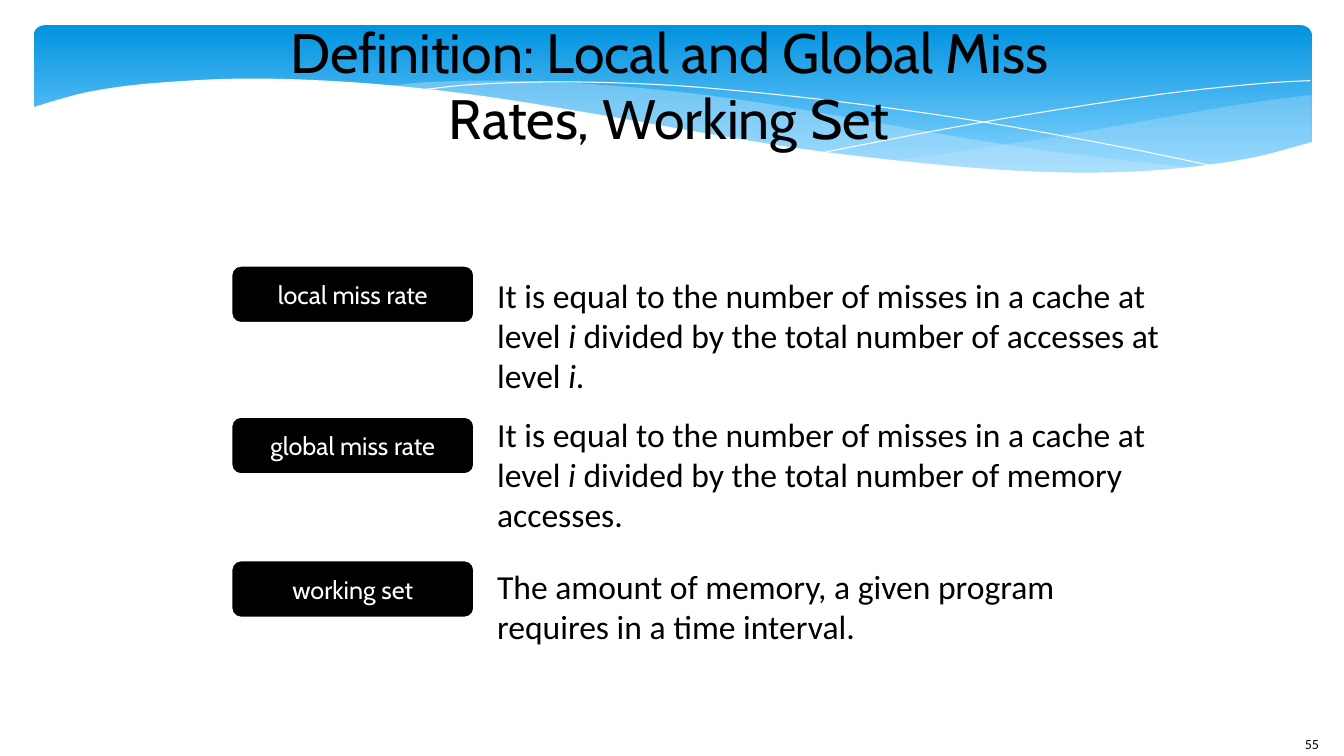
from lxml.etree import SubElement
from pptx import Presentation
from pptx.dml.color import RGBColor
from pptx.enum.shapes import MSO_SHAPE
from pptx.enum.text import MSO_ANCHOR, MSO_AUTO_SIZE, PP_ALIGN
from pptx.oxml.ns import qn
from pptx.util import Pt

THEME = {
    "black": RGBColor.from_string("000000"),
    "white": RGBColor.from_string("FFFFFF"),
    "sky_top": RGBColor.from_string("0293E0"),
    "sky_bottom": RGBColor.from_string("83D3FE"),
    "mist": RGBColor.from_string("C6E7FC"),
    "title": {"name": "Cabin", "size": Pt(39.6)},
    "label": {"name": "Cabin", "size": Pt(18)},
    "body": {"name": "Calibri", "size": Pt(24)},
    "number": {"name": "Calibri", "size": Pt(10)},
}


def smooth(knots, steps=5):
    """Return points on a Catmull-Rom curve through the knots."""
    ends = [knots[0], *knots, knots[-1]]
    points = [knots[0]]
    for a, b, c, d in zip(ends, ends[1:], ends[2:], ends[3:]):
        for n in range(1, steps + 1):
            t = n / steps
            points.append(tuple(
                (2 * q + (r - p) * t + (2 * p - 5 * q + 4 * r - s) * t ** 2
                 + (3 * q - p - 3 * r + s) * t ** 3) / 2
                for p, q, r, s in zip(a, b, c, d)))
    return points


def add_text(p, text, style, color):
    """Write text with breaks at newlines and italics between underscores."""
    for row, line in enumerate(text.split("\n")):
        if row:
            p.add_line_break()
        for n, part in enumerate(line.split("_")):
            if part:
                r = p.add_run()
                r.text = part
                for key, value in {**THEME[style], "italic": n % 2 == 1}.items():
                    setattr(r.font, key, value)
                r.font.color.rgb = THEME[color]


prs = Presentation()
prs.slide_width, prs.slide_height = Pt(960), Pt(540)
s = prs.slides.add_slide(prs.slide_layouts[6])

# Gradient banner
banner = s.shapes.add_shape(MSO_SHAPE.ROUNDED_RECTANGLE, Pt(24), Pt(18), Pt(913), Pt(112.5))
banner.adjustments[0] = 0.07
banner.shadow.inherit = False
banner.line.fill.background()
banner.fill.gradient()
banner.fill.gradient_angle = 270
for stop, color, position in zip(banner.fill.gradient_stops, ("sky_top", "sky_bottom"), (0, 0.9)):
    stop.color.rgb = THEME[color]
    stop.position = position

# Waves: edges, fill, opacity in percent; those without a fill are hairlines
right_wave = [
    [(937, 67.7), (883, 75), (826, 85), (747, 98.6), (677.5, 109.4), (635, 115.2)],
    [(635, 115.2), (690, 119.8), (738, 123), (791, 124), (845, 120.3), (891, 114), (937, 102)],
]
long_wave = [
    [(857, 120.2), (803.5, 114.6), (744.5, 107.2), (677.5, 96.6), (604, 83.6), (533, 71.9),
     (469.5, 64), (403, 59), (347, 57.6), (301, 59), (275, 61.9)],
    [(275, 61.9), (328, 67.5), (388, 76.2), (471, 90.7), (561, 105.2), (638.5, 115.9),
     (706, 122.1), (775, 124.6), (840, 121.7), (857, 120.2)],
]
long_line = [[(296.6, 64.8), (338, 60.4), (399.6, 58.5), (469.5, 60.4), (534, 65.5),
              (610.5, 74), (698.5, 86.5), (798, 104.4), (871, 119.5)]]
right_line = [[(589, 108.7), (667.5, 93.5), (745, 80), (831.5, 67), (900, 59.7), (936, 57.6)]]
white_wave = [
    [(938, 101.2), (893, 113), (840, 120.4), (790, 123.2), (731, 122.2), (661, 116.8),
     (579, 107.2), (508, 95.9), (429, 82.1), (350, 69.3), (281, 61.1), (220, 57),
     (169, 56.2), (127, 58.1), (91.5, 61.2), (64, 65.5), (44, 70.5), (22.5, 77)],
    [(22.5, 161), (938, 161)],
]
for edges, color, opacity in [
    (right_wave, "mist", 29), (long_wave, "mist", 40), (long_line, None, 100),
    (right_line, None, 100), (white_wave, "white", 100),
]:
    start, *rest = [(Pt(x), Pt(y)) for edge in edges for x, y in smooth(edge)]
    outline = s.shapes.build_freeform(*start)
    outline.add_line_segments(rest, close=color is not None)
    wave = outline.convert_to_shape()
    wave.shadow.inherit = False
    if color:
        wave.fill.solid()
        wave.fill.fore_color.rgb = THEME[color]
        wave.line.fill.background()
        if opacity < 100:
            tint = wave._element.spPr.find(qn("a:solidFill"))[0]
            SubElement(tint, qn("a:alpha"), val=str(opacity * 1000))
    else:
        wave.fill.background()
        wave.line.color.rgb = THEME["white"]
        wave.line.width = Pt(0)

# Slide number
tf = s.shapes.add_textbox(Pt(925), Pt(522), Pt(35), Pt(18)).text_frame
add_text(tf.paragraphs[0], "55", "number", "black")

# Title
tf = s.shapes.add_textbox(Pt(186), Pt(23.5), Pt(584), Pt(73.5)).text_frame
for key, value in {"word_wrap": True, "vertical_anchor": MSO_ANCHOR.MIDDLE, "margin_left": 0,
                   "margin_right": 0, "margin_top": 0, "margin_bottom": 0}.items():
    setattr(tf, key, value)
tf.paragraphs[0].alignment = PP_ALIGN.CENTER
add_text(tf.paragraphs[0], "Definition: Local and Global Miss Rates, Working Set", "title", "black")

# Terms with their definitions: label, label top, text top, width, height, paragraphs
for term, label_top, top, width, height, definition in [
    ("local miss rate", 189.5, 192.5, 492, 94.5,
     ["It is equal to the number of misses in a cache at\n"
      "level _i _divided by the total number of accesses at", "level _i_."]),
    ("global miss rate", 297.5, 292, 482, 94.5,
     ["It is equal to the number of misses in a cache at\n"
      "level _i _divided by the total number of memory", "accesses."]),
    ("working set", 400, 400.5, 416, 65.5,
     ["The amount of memory, a given program", "requires in a time interval."]),
]:
    label = s.shapes.add_shape(MSO_SHAPE.ROUNDED_RECTANGLE, Pt(165), Pt(label_top), Pt(174), Pt(41.5))
    label.shadow.inherit = False
    label.fill.solid()
    label.fill.fore_color.rgb = THEME["black"]
    label.line.color.rgb = THEME["white"]
    label.line.width = Pt(2)
    tf = label.text_frame
    tf.vertical_anchor = MSO_ANCHOR.MIDDLE
    tf.paragraphs[0].alignment = PP_ALIGN.CENTER
    add_text(tf.paragraphs[0], term, "label", "white")

    tf = s.shapes.add_textbox(Pt(348), Pt(top), Pt(width), Pt(height)).text_frame
    tf.word_wrap = False
    tf.auto_size = MSO_AUTO_SIZE.SHAPE_TO_FIT_TEXT
    for n, text in enumerate(definition):
        p = tf.add_paragraph() if n else tf.paragraphs[0]
        add_text(p, text, "body", "black")

prs.save("out.pptx")
